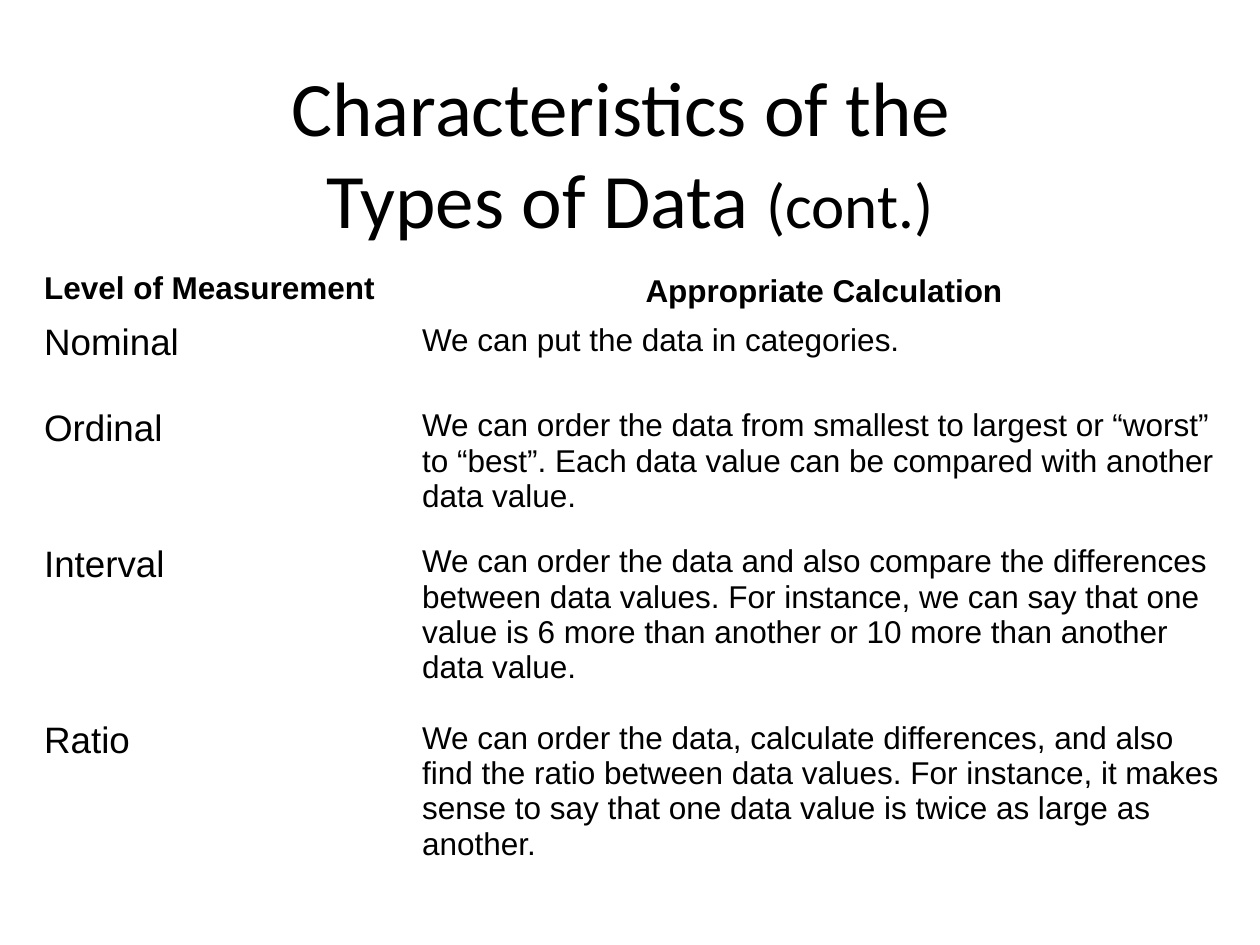
from dataclasses import dataclass

from pptx import Presentation
from pptx.dml.color import RGBColor
from pptx.enum.text import MSO_ANCHOR as Anchor, PP_ALIGN as Align
from pptx.util import Inches, Pt


@dataclass(frozen=True)
class Theme:
    ink: RGBColor = RGBColor(0, 0, 0)
    title_font: str = "Calibri"
    table_font: str = "Arial"
    title_size: int = 44
    suffix_size: int = 36
    level_size: int = 21
    body_size: int = 18


class SlideBuilder:
    def __init__(self, presentation, theme):
        self.theme = theme
        self.slide = presentation.slides.add_slide(presentation.slide_layouts[6])

    def style(self, paragraph, name, size, bold=False, align=Align.LEFT):
        paragraph.alignment = align
        font = paragraph.font
        font.name, font.size, font.bold = name, Pt(size), bold
        font.color.rgb = self.theme.ink

    def title(self, text, suffix, left, top, width, height):
        shape = self.slide.shapes.add_textbox(
            Inches(left), Inches(top), Inches(width), Inches(height))
        frame = shape.text_frame
        frame.word_wrap = True
        frame.vertical_anchor = Anchor.MIDDLE
        paragraph = frame.paragraphs[0]
        paragraph.text = text
        self.style(paragraph, self.theme.title_font, self.theme.title_size,
                   align=Align.CENTER)
        run = paragraph.add_run()
        run.text = suffix
        run.font.size = Pt(self.theme.suffix_size)

    def cell(self, cell, text, size, bold=False, align=Align.LEFT):
        cell.fill.background()
        cell.text = text
        self.style(cell.text_frame.paragraphs[0], self.theme.table_font,
                   size, bold, align)

    def table(self, headers, rows, left, top, widths, heights):
        shape = self.slide.shapes.add_table(
            len(heights), len(widths), Inches(left), Inches(top),
            Inches(sum(widths)), Inches(sum(heights)))
        table = shape.table
        table.horz_banding = False
        for column, width in zip(table.columns, widths):
            column.width = Inches(width)
        for row, height in zip(table.rows, heights):
            row.height = Inches(height)

        header_layouts = ((Align.LEFT, 0.08), (Align.CENTER, 0.06))
        for index, (text, (align, margin)) in enumerate(zip(headers, header_layouts)):
            header = table.cell(0, index)
            self.cell(header, text, self.theme.body_size, True, align)
            header.vertical_anchor = Anchor.BOTTOM
            header.margin_bottom = Inches(margin)

        for index, (level, calculation) in enumerate(rows, 1):
            self.cell(table.cell(index, 0), level, self.theme.level_size)
            self.cell(table.cell(index, 1), calculation, self.theme.body_size)


HEADERS = ("Level of Measurement", "Appropriate Calculation")
LEVELS = (
    ("Nominal", "We can put the data in categories."),
    ("Ordinal", "We can order the data from smallest to largest or “worst” to "
                "“best”. Each data value can be compared with another data value."),
    ("Interval", "We can order the data and also compare the differences between "
                 "data values. For instance, we can say that one value is 6 more "
                 "than another or 10 more than another data value."),
    ("Ratio", "We can order the data, calculate differences, and also find the "
              "ratio between data values. For instance, it makes sense to say that "
              "one data value is twice as large as another."),
)


def main():
    presentation = Presentation()
    presentation.slide_width = Inches(10)
    presentation.slide_height = Inches(7.5)
    builder = SlideBuilder(presentation, Theme())
    builder.table(HEADERS, LEVELS, 0.25, 1.75, (3, 6.58),
                  (0.76, 0.68, 1.08, 1.4, 1.3))
    builder.title("Characteristics of the \vTypes of Data ", "(cont.)",
                  0.75, 0.58, 8.5, 1.25)
    presentation.save("out.pptx")


if __name__ == "__main__":
    main()
